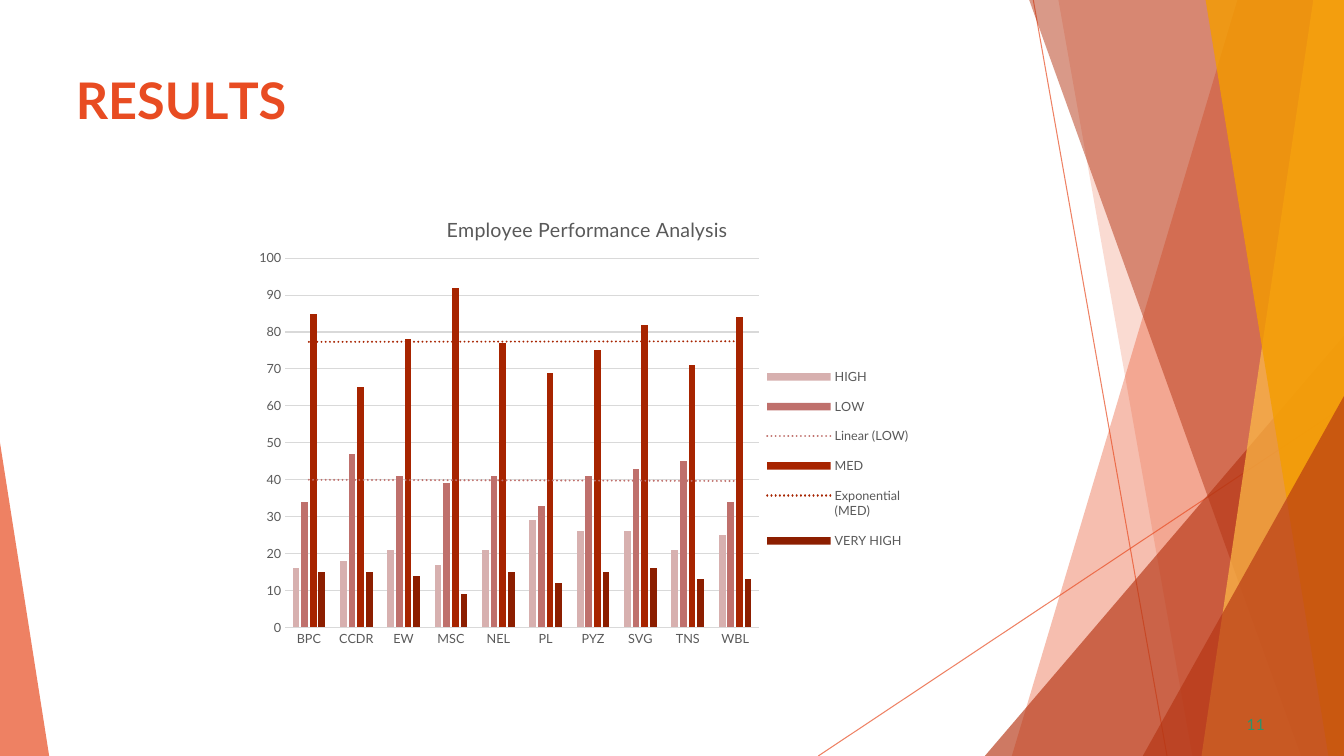
from dataclasses import dataclass
from typing import Any

from lxml import etree
from pptx import Presentation
from pptx.chart.data import CategoryChartData
from pptx.dml.color import RGBColor
from pptx.enum.chart import XL_CHART_TYPE, XL_LEGEND_POSITION, XL_TICK_MARK
from pptx.enum.shapes import MSO_CONNECTOR, MSO_SHAPE
from pptx.oxml import parse_xml
from pptx.oxml.ns import nsdecls, qn
from pptx.util import Cm, Pt

COLUMNS = XL_CHART_TYPE.COLUMN_CLUSTERED
RIGHT = XL_LEGEND_POSITION.RIGHT
NO_TICKS = XL_TICK_MARK.NONE
STRAIGHT = MSO_CONNECTOR.STRAIGHT
TRIANGLE = MSO_SHAPE.ISOSCELES_TRIANGLE

FONT = "Lato"
WIDTH, HEIGHT, BAND_TOP = 33.87, 19.05, -0.02
COLORS = {
    "orange": "E84C22", "rust": "B53513", "gold": "FFBD47", "amber": "F49D00",
    "green": "2D936B", "gray": "595959", "grid": "D9D9D9", "black": "000000",
    "high": "D7B0AF", "low": "BF706C", "med": "A72400", "very high": "8C1E00",
}


@dataclass
class Ray:
    start: tuple[float, float]
    end: tuple[float, float]


@dataclass
class Band:
    """Runs from its slanted left edge to the right edge of the slide."""
    top_x: float
    bottom_x: float
    color: str
    opacity: int


@dataclass
class Wedge:
    """Triangle standing on the bottom edge of the slide."""
    left: float
    top: float
    width: float
    apex: int
    color: str
    opacity: int


@dataclass
class Measure:
    name: str
    values: tuple[int, ...]
    trend: str = ""


DECORATION = [
    Ray((26.04, 0), (29.41, HEIGHT)),
    Ray((WIDTH, 10.24), (20.62, HEIGHT)),
    Band(31.19, 25.5, "orange", 36),
    Band(26.67, 30.05, "orange", 20),
    Wedge(24.82, 8.46, 9.05, 1, "rust", 66),
    Band(25.93, 32.79, "rust", 50),
    Band(33.1, 30.28, "gold", 70),
    Band(30.38, 33.48, "amber", 80),
    Wedge(28.8, 9.98, 5.07, 1, "rust", 66),
    Wedge(0, 11.15, 1.24, 0, "orange", 70),
]
CATEGORIES = ["BPC", "CCDR", "EW", "MSC", "NEL", "PL", "PYZ", "SVG", "TNS", "WBL"]
MEASURES = [
    Measure("HIGH", (16, 18, 21, 17, 21, 29, 26, 26, 21, 25)),
    Measure("LOW", (34, 47, 41, 39, 41, 33, 41, 43, 45, 34), "linear"),
    Measure("MED", (85, 65, 78, 92, 77, 69, 75, 82, 71, 84), "exp"),
    Measure("VERY HIGH", (15, 15, 14, 9, 15, 12, 15, 16, 13, 13)),
]
# Letters with their spacing in hundredths of a point
TITLE_SPANS = [("R", 0), ("E", -40), ("S", 10), ("U", -30), ("L", -400), ("TS", 0)]


def rgb(color: str) -> RGBColor:
    return RGBColor.from_string(COLORS[color])


def apply(target: Any, **values: Any) -> None:
    for name, value in values.items():
        setattr(target, name, value)


def style_font(font: Any, size: float, color: str, bold: bool = False) -> None:
    apply(font, name=FONT, size=Pt(size), bold=bold)
    font.color.rgb = rgb(color)


def set_opacity(properties: Any, percent: int) -> None:
    color = next(properties.iter(qn("a:srgbClr")))
    etree.SubElement(color, qn("a:alpha")).set("val", str(percent * 1000))


# Background decoration
def draw_ray(page: Any, ray: Ray) -> None:
    points = [Cm(value) for value in (*ray.start, *ray.end)]
    line = page.shapes.add_connector(STRAIGHT, *points)
    line.line.width = Pt(0.75)
    line.line.color.rgb = rgb("orange")
    properties = line.element.spPr
    set_opacity(properties, 70)
    etree.SubElement(properties, qn("a:effectLst"))


def fill_shape(shape: Any, color: str, opacity: int) -> None:
    shape.shadow.inherit = False
    shape.fill.solid()
    shape.fill.fore_color.rgb = rgb(color)
    set_opacity(shape.element.spPr, opacity)
    shape.line.fill.background()


def draw_band(page: Any, band: Band) -> None:
    outline = page.shapes.build_freeform(Cm(band.top_x), Cm(BAND_TOP))
    corners = [(WIDTH, BAND_TOP), (WIDTH, HEIGHT), (band.bottom_x, HEIGHT)]
    outline.add_line_segments([(Cm(x), Cm(y)) for x, y in corners], close=True)
    fill_shape(outline.convert_to_shape(), band.color, band.opacity)


def draw_wedge(page: Any, wedge: Wedge) -> None:
    shape = page.shapes.add_shape(TRIANGLE, Cm(wedge.left), Cm(wedge.top),
                                  Cm(wedge.width), Cm(HEIGHT - wedge.top))
    shape.adjustments[0] = wedge.apex
    fill_shape(shape, wedge.color, wedge.opacity)


# Text
def draw_text(page: Any, frame: tuple[float, ...], spans: list[tuple[str, int]],
              size: float, color: str, bold: bool, indent: float, before: float) -> None:
    box = page.shapes.add_textbox(*[Cm(value) for value in frame])
    apply(box.text_frame, word_wrap=True, margin_left=0, margin_right=0,
          margin_top=Cm(0.03), margin_bottom=0)
    para = box.text_frame.paragraphs[0]
    para.space_before = Pt(before)
    properties = para._p.get_or_add_pPr()
    properties.set("marL", str(Cm(indent)))
    properties.set("indent", "0")
    for text, spacing in spans:
        span = para.add_run()
        span.text = text
        style_font(span.font, size, color, bold)
        span.font._element.set("spc", str(spacing))


# Chart
def place_part(part: Any, **places: float) -> None:
    """Fix a chart part at fractions of the chart area."""
    for old in part.findall(qn("c:layout")):
        part.remove(old)
    inner = '<c:layoutTarget val="inner"/>' if part.tag == qn("c:plotArea") else ""
    modes = "".join(f'<c:{key}Mode val="edge"/>' for key in "xy")
    sizes = "".join(f'<c:{key} val="{value}"/>' for key, value in places.items())
    layout = parse_xml(f'<c:layout {nsdecls("c")}><c:manualLayout>{inner}{modes}{sizes}'
                       "</c:manualLayout></c:layout>")
    overlay = part.find(qn("c:overlay"))
    part.insert(0 if overlay is None else part.index(overlay), layout)


def add_trend(series: Any, kind: str, color: str) -> None:
    trend = parse_xml(
        f'<c:trendline {nsdecls("c", "a")}><c:spPr><a:ln w="{Pt(1.5)}" cap="rnd"><a:solidFill>'
        f'<a:srgbClr val="{COLORS[color]}"/></a:solidFill><a:prstDash val="sysDot"/></a:ln></c:spPr>'
        f'<c:trendlineType val="{kind}"/><c:dispRSqr val="0"/><c:dispEq val="0"/></c:trendline>')
    series._element.find(qn("c:cat")).addprevious(trend)


def draw_chart(page: Any) -> None:
    data = CategoryChartData()
    data.categories = CATEGORIES
    for measure in MEASURES:
        data.add_series(measure.name, measure.values)
    frame = [Cm(value) for value in (6.15, 4.88, 17.3, 11.63)]
    chart = page.shapes.add_chart(COLUMNS, *frame, data).chart
    style_font(chart.font, 10, "black")
    apply(chart, has_title=True, has_legend=True)
    title = chart.chart_title
    title.include_in_layout = False
    title.text_frame.text = "Employee Performance Analysis"
    style_font(title.text_frame.paragraphs[0].runs[0].font, 14, "gray")
    apply(chart.legend, position=RIGHT, include_in_layout=False)
    style_font(chart.legend.font, 9, "gray")

    apply(chart.plots[0], gap_width=219, overlap=-27, vary_by_categories=False)
    for series, measure in zip(chart.plots[0].series, MEASURES):
        color = measure.name.lower()
        series.format.fill.solid()
        series.format.fill.fore_color.rgb = rgb(color)
        if measure.trend:
            add_trend(series, measure.trend, color)

    for axis in (chart.category_axis, chart.value_axis):
        apply(axis, major_tick_mark=NO_TICKS, minor_tick_mark=NO_TICKS)
        style_font(axis.tick_labels.font, 9, "gray")
    apply(chart.value_axis, minimum_scale=0, maximum_scale=100, major_unit=10)
    chart.value_axis.format.line.fill.background()
    for line in (chart.category_axis.format.line, chart.value_axis.major_gridlines.format.line):
        line.width = Pt(0.75)
        line.color.rgb = rgb("grid")

    root = chart.element.find(qn("c:chart"))
    place_part(root.find(qn("c:title")), x=0.29, y=0.04)
    place_part(root.find(qn("c:plotArea")), x=0.06, y=0.14, w=0.69, h=0.8)
    place_part(root.find(qn("c:legend")), x=0.75, y=0.35, w=0.23, h=0.45)


def main() -> None:
    deck = Presentation()
    apply(deck, slide_width=Cm(WIDTH), slide_height=Cm(HEIGHT))
    page = deck.slides.add_slide(deck.slide_layouts[6])
    painters = {Ray: draw_ray, Band: draw_band, Wedge: draw_wedge}
    for piece in DECORATION:
        painters[type(piece)](page, piece)
    draw_text(page, (1.88, 1.7, 23.88, 3.66), TITLE_SPANS, 36, "orange", True, 0.03, 1.1)
    draw_text(page, (31.32, 17.98, 0.64, 0.53), [("11", 10)], 11, "green", False, 0.1, 0.6)
    draw_chart(page)
    deck.save("out.pptx")


if __name__ == "__main__":
    main()
